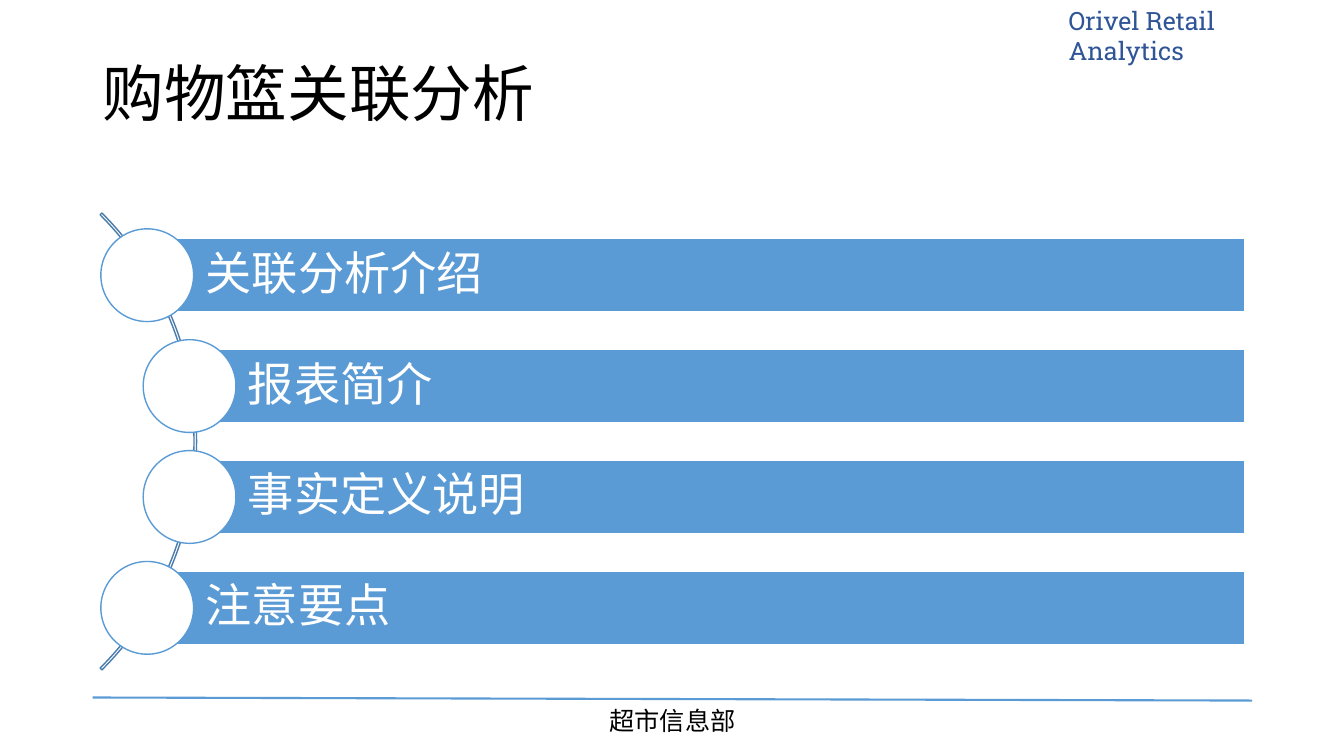
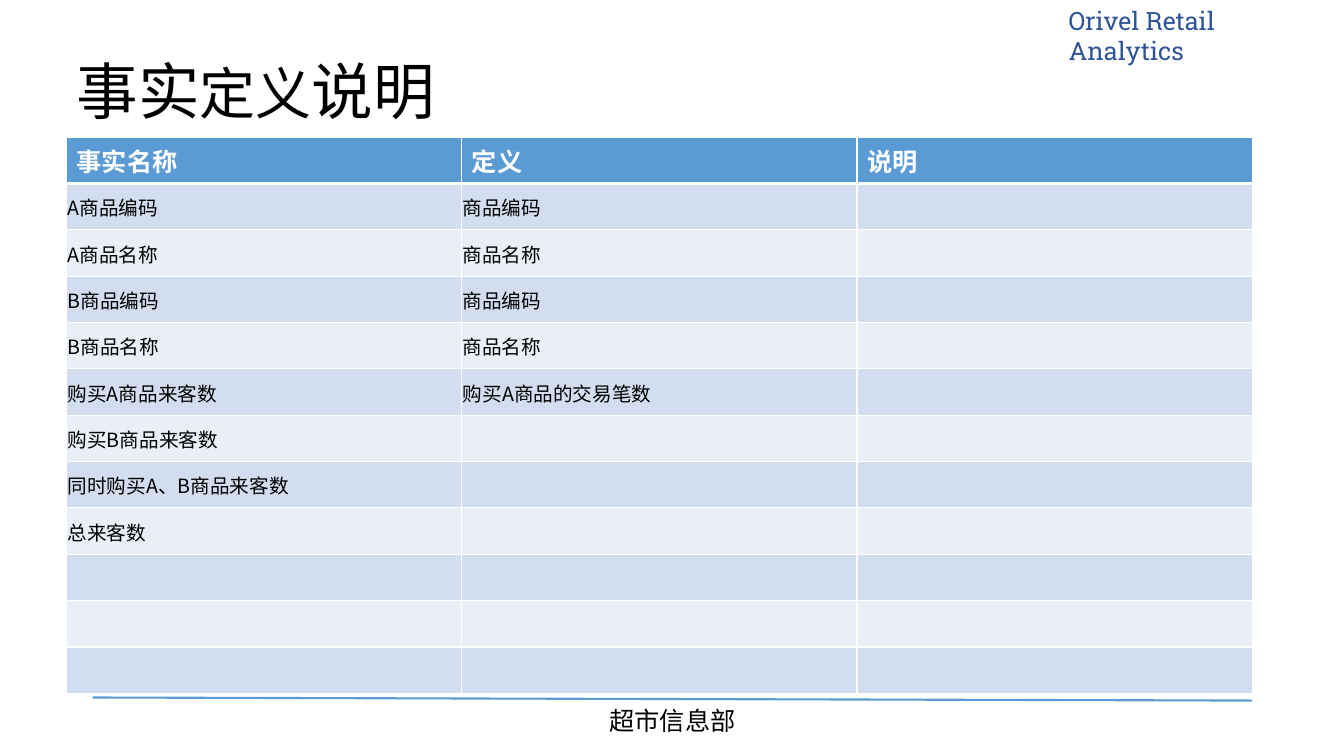
from dataclasses import dataclass

from lxml import etree
from pptx import Presentation
from pptx.dml.color import RGBColor
from pptx.enum.shapes import MSO_CONNECTOR, MSO_SHAPE
from pptx.enum.text import MSO_ANCHOR, PP_ALIGN
from pptx.oxml.ns import qn
from pptx.util import Inches, Pt

LINE = MSO_CONNECTOR.STRAIGHT
RECT, OVAL, ARC = MSO_SHAPE.RECTANGLE, MSO_SHAPE.OVAL, MSO_SHAPE.BLOCK_ARC
MIDDLE, CENTER = MSO_ANCHOR.MIDDLE, PP_ALIGN.CENTER


@dataclass(frozen=True)
class Theme:
    white: str = "FFFFFF"
    black: str = "000000"
    blue: str = "5B9BD5"
    navy: str = "2F5597"
    arc: str = "497CAB"
    bands: tuple = ("D2DEEF", "EAEFF7")
    latin: str = "Calibri"
    asian: str = "Noto Sans CJK SC"
    slab: str = "Roboto Slab"
    title: int = 44
    small: int = 40
    item: int = 33
    label: int = 18
    body: int = 14


THEME = Theme()

TOPICS = ["关联分析介绍", "报表简介", "事实定义说明", "注意要点"]
HEADS = ["事实名称", "定义", "说明"]
FACTS = [
    ("A商品编码", "商品编码"),
    ("A商品名称", "商品名称"),
    ("B商品编码", "商品编码"),
    ("B商品名称", "商品名称"),
    ("购买A商品来客数", "购买A商品的交易笔数"),
    ("购买B商品来客数",),
    ("同时购买A、B商品来客数",),
    ("总来客数",),
    (), (), (),
]


def color(code):
    return RGBColor.from_string(code)


def style(run, size, tint, face=THEME.latin, bold=False):
    font = run.font
    font.size, font.bold, font.name = Pt(size), bold, face
    font.color.rgb = color(tint)
    asian = etree.SubElement(font._element, qn("a:ea"))
    asian.set("typeface", THEME.asian)


def write(frame, text, size, tint, face=THEME.latin, bold=False):
    frame.text = text
    for run in frame.paragraphs[0].runs:
        style(run, size, tint, face, bold)
    return frame.paragraphs[0]


def text_box(slide, box):
    frame = slide.shapes.add_textbox(*map(Inches, box)).text_frame
    frame.word_wrap = True
    return frame


def add_form(slide, kind, box, fill, line):
    form = slide.shapes.add_shape(kind, *map(Inches, box))
    form.shadow.inherit = False
    if fill:
        form.fill.solid()
        form.fill.fore_color.rgb = color(fill)
    else:
        form.fill.background()
    form.line.color.rgb = color(line)
    form.line.width = Pt(1)
    return form


def add_frame(slide):
    """Place the header label, footer rule and footer text."""
    write(text_box(slide, (10.5, 0, 2.4, 0.7)), "Orivel Retail Analytics",
          THEME.label, THEME.navy, THEME.slab)
    ends = map(Inches, (0.92, 6.92, 12.42, 6.95))
    rule = slide.shapes.add_connector(LINE, *ends)
    rule.line.color.rgb = color(THEME.blue)
    rule.line.width = Pt(1.5)
    etree.SubElement(rule._element.spPr, qn("a:effectLst"))
    footer = write(text_box(slide, (5.6, 6.95, 2.14, 0.4)), "超市信息部",
                   THEME.label, THEME.black, THEME.asian)
    footer.alignment = CENTER


def add_title(slide, box, parts):
    """Write a title from (text, size) parts."""
    frame = text_box(slide, box)
    frame.vertical_anchor = MIDDLE
    para = frame.paragraphs[0]
    para.line_spacing = 0.9
    for text, size in parts:
        run = para.add_run()
        run.text = text
        style(run, size, THEME.black)


def add_topic(slide, left, top, right, text):
    """Draw a bar that starts at the centre of its circle."""
    disc, high = 0.92, 0.73
    start = left + disc / 2
    box = (start, top + (disc - high) / 2, right - start, high)
    bar = add_form(slide, RECT, box, THEME.blue, THEME.white)
    frame = bar.text_frame
    frame.vertical_anchor = MIDDLE
    frame.margin_left = Inches(0.58)
    frame.margin_right = Inches(0.09)
    para = write(frame, text, THEME.item, THEME.white)
    para.alignment, para.line_spacing = PP_ALIGN.LEFT, 0.9
    add_form(slide, OVAL, (left, top, disc, disc), THEME.white, THEME.blue)


def add_topics(slide, box):
    left, top, width, height = box
    size = 6.41
    arc_box = (left - 5.46, top + (height - size) / 2, size, size)
    arc = add_form(slide, ARC, arc_box, None, THEME.arc)
    for index, value in enumerate((189, 27, 0.004)):
        arc.adjustments[index] = value
    for row, text in enumerate(TOPICS):
        shift = 0.42 if row in (1, 2) else 0
        add_topic(slide, left + shift, top + 1.1 * row, left + width, text)


def set_edges(cell, top, bottom):
    """Give a cell white borders, with top and bottom widths in points."""
    props = cell._tc.get_or_add_tcPr()
    edges = {"lnL": 1, "lnR": 1, "lnT": top, "lnB": bottom}
    for index, (name, width) in enumerate(edges.items()):
        edge = etree.Element(qn("a:" + name), w=str(Pt(width)))
        fill = etree.SubElement(edge, qn("a:solidFill"))
        etree.SubElement(fill, qn("a:srgbClr"), val=THEME.white)
        props.insert(index, edge)


def fill_cell(cell, row, text):
    head = row == 0
    cell.fill.solid()
    band = THEME.blue if head else THEME.bands[(row - 1) % 2]
    cell.fill.fore_color.rgb = color(band)
    set_edges(cell, 3 if row == 1 else 1, 3 if head else 1)
    if head:
        write(cell.text_frame, text, THEME.label, THEME.white, bold=True)
    elif text:
        cell.vertical_anchor = MIDDLE
        cell.margin_left = cell.margin_right = Inches(0.01)
        cell.margin_top, cell.margin_bottom = Inches(0.01), 0
        write(cell.text_frame, text, THEME.body, THEME.black, THEME.asian)


def add_facts(slide, box):
    rows = [HEADS, *FACTS]
    table = slide.shapes.add_table(
        len(rows), len(HEADS), *map(Inches, box)).table
    table.horz_banding = False
    for row, texts in enumerate(rows):
        for col in range(len(HEADS)):
            text = texts[col] if col < len(texts) else ""
            fill_cell(table.cell(row, col), row, text)


def add_slide(deck):
    slide = deck.slides.add_slide(deck.slide_layouts[6])
    add_frame(slide)
    return slide


def agenda(deck):
    slide = add_slide(deck)
    add_title(slide, (0.92, 0.51, 11.5, 0.89),
              [("购物篮关联分析", THEME.title)])
    add_topics(slide, (1, 2.27, 11.35, 4.22))


def facts(deck):
    slide = add_slide(deck)
    add_title(slide, (0.66, 0.53, 11.5, 0.82),
              [("事实", THEME.title), ("定义", THEME.small),
               ("说明", THEME.title)])
    add_facts(slide, (0.66, 1.36, 11.76, 5.52))


def main():
    deck = Presentation()
    deck.slide_width, deck.slide_height = Inches(13.33), Inches(7.5)
    agenda(deck)
    facts(deck)
    deck.save("out.pptx")


if __name__ == "__main__":
    main()
